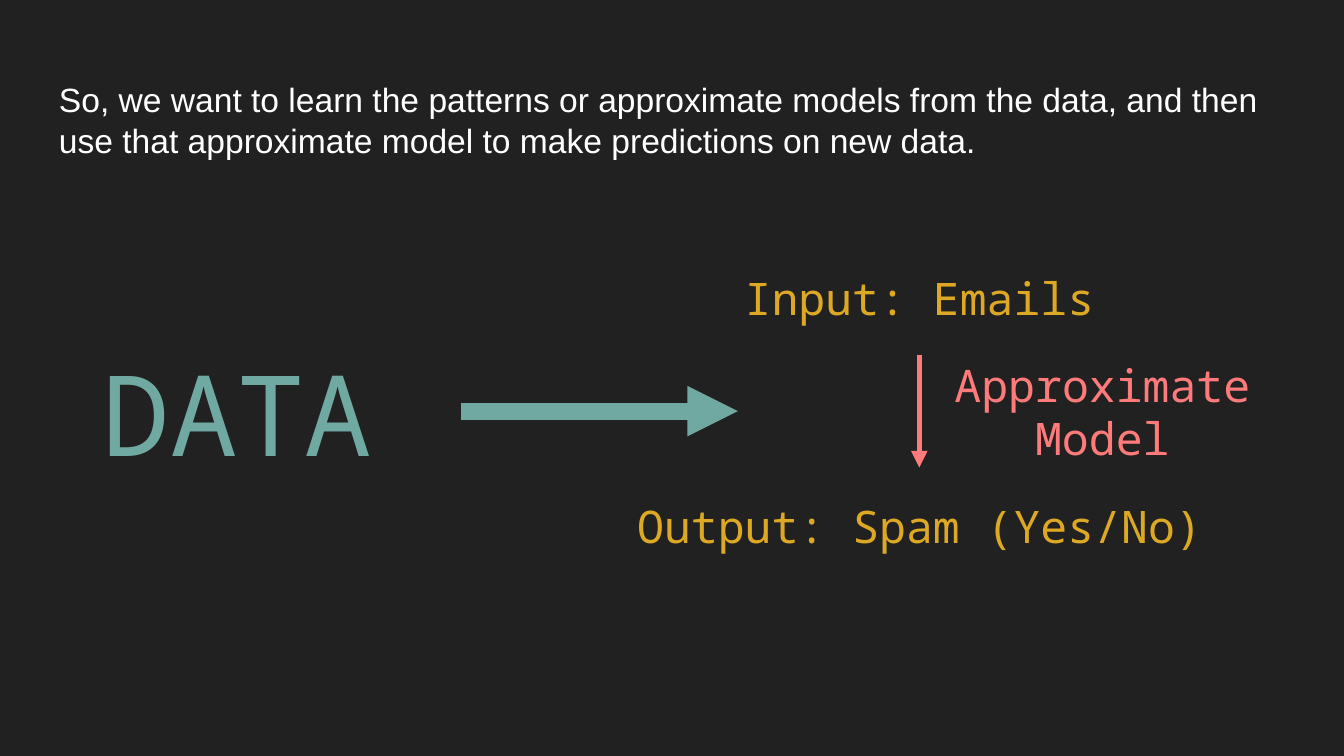
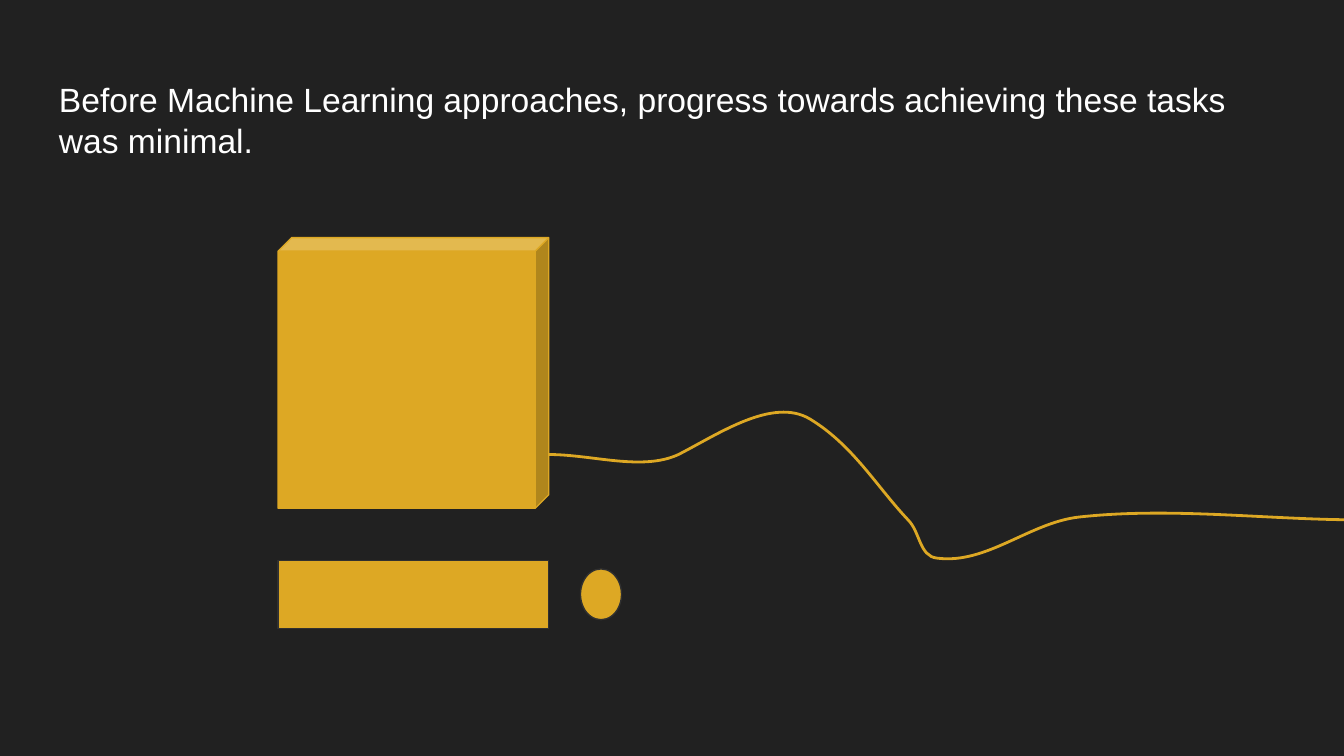
from lxml import etree
from pptx import Presentation
from pptx.dml.color import RGBColor
from pptx.enum.shapes import MSO_CONNECTOR, MSO_SHAPE
from pptx.enum.text import MSO_ANCHOR, PP_ALIGN
from pptx.oxml.ns import qn
from pptx.util import Pt

STRAIGHT = MSO_CONNECTOR.STRAIGHT
CUBE, RECTANGLE, OVAL = MSO_SHAPE.CUBE, MSO_SHAPE.RECTANGLE, MSO_SHAPE.OVAL
TOP, MIDDLE = MSO_ANCHOR.TOP, MSO_ANCHOR.MIDDLE
LEFT, CENTER = PP_ALIGN.LEFT, PP_ALIGN.CENTER

DARK = RGBColor(0x21, 0x21, 0x21)
OUTLINE = RGBColor(0x30, 0x30, 0x30)
WHITE = RGBColor(0xFF, 0xFF, 0xFF)
GOLD = RGBColor(0xDD, 0xA8, 0x24)
CORAL = RGBColor(0xFF, 0x7A, 0x7A)
TEAL = RGBColor(0x70, 0xA9, 0xA1)

TITLE_FONT = "Arial"
LABEL_FONT = "Noto Sans Mono"
INSET = 7.2

CABLE_START = (294, 243.5)
CABLE_CURVES = [
    [(317.5, 243.5), (344, 252.5), (363.5, 243.5)],
    [(385, 232.5), (414, 212.5), (434, 224.5)],
    [(457, 238.5), (469.5, 260.5), (486.5, 278.5)],
    [(493, 285), (492.5, 298), (502, 299)],
    [(528.5, 302.5), (551.5, 280), (578, 277)],
    [(628, 271.5), (679, 278.5), (728.5, 278.5)],
]


class SlideBuilder:
    """Holds the shared dark style and draws on the current slide."""

    def __init__(self):
        self.deck = Presentation()
        self.deck.slide_width, self.deck.slide_height = Pt(720), Pt(405)
        self.page = None

    def add_page(self, title):
        self.page = self.deck.slides.add_slide(self.deck.slide_layouts[6])
        fill = self.page.background.fill
        fill.solid()
        fill.fore_color.rgb = DARK
        self.text(title, (24.5, 35.3, 671, 45.4), WHITE, 18, TITLE_FONT, LEFT, TOP)

    def text(self, words, place, color, size=24, font=LABEL_FONT, align=CENTER, anchor=MIDDLE):
        box = self.page.shapes.add_textbox(*map(Pt, place))
        frame = box.text_frame
        frame.word_wrap = True
        frame.vertical_anchor = anchor
        frame.margin_left = frame.margin_right = Pt(INSET)
        frame.margin_top = frame.margin_bottom = Pt(INSET)
        frame.text = words
        para = frame.paragraphs[0]
        para.alignment = align
        span = para.runs[0]
        span.font.name = font
        span.font.size = Pt(size)
        span.font.color.rgb = color

    def arrow(self, start, end, color, width):
        line = self.page.shapes.add_connector(STRAIGHT, *map(Pt, start + end))
        line.line.color.rgb = color
        line.line.width = Pt(width)
        properties = line.element.spPr
        etree.SubElement(properties.find(qn("a:ln")), qn("a:tailEnd"), type="triangle")
        etree.SubElement(properties, qn("a:effectLst"))

    def shape(self, kind, place, outline):
        shape = self.page.shapes.add_shape(kind, *map(Pt, place))
        shape.shadow.inherit = False
        shape.fill.solid()
        shape.fill.fore_color.rgb = GOLD
        shape.line.color.rgb = outline
        shape.line.width = Pt(0.75)
        return shape

    def curve(self, start, curves, color, width):
        builder = self.page.shapes.build_freeform(*map(Pt, start))
        points = [tuple(map(Pt, point)) for curve in curves for point in curve]
        builder.add_line_segments(points, close=False)
        shape = builder.convert_to_shape()
        shape.shadow.inherit = False
        shape.fill.background()
        shape.line.color.rgb = color
        shape.line.width = Pt(width)
        segments = list(shape.element.iter(qn("a:lnTo")))
        for first in range(0, len(segments), 3):
            bend, *rest = segments[first:first + 3]
            bezier = etree.SubElement(bend.getparent(), qn("a:cubicBezTo"))
            for segment in [bend, *rest]:
                bezier.append(segment[0])
                segment.getparent().remove(segment)


def build_prediction(slides):
    slides.add_page(
        "So, we want to learn the patterns or approximate models from the data, "
        "and then use that approximate model to make predictions on new data."
    )
    for words, top in [("Input: Emails", 106), ("Output: Spam (Yes/No)", 228.2)]:
        slides.text(words, (307.5, top, 370, 106.5), GOLD)
    slides.text("Approximate Model", (486, 190, 209, 60.5), CORAL)
    slides.arrow((492.5, 190), (492.5, 250.5), CORAL, 3)
    slides.text("DATA", (25.2, 186.5, 203.8, 67.7), TEAL, 60)
    slides.arrow((247, 220.3), (395.3, 220.3), TEAL, 9)


def build_computer(slides):
    slides.add_page(
        "Before Machine Learning approaches, progress towards achieving these tasks was minimal."
    )
    monitor = slides.shape(CUBE, (149, 127.3, 145, 145), GOLD)
    monitor.adjustments[0] = 0.05
    slides.curve(CABLE_START, CABLE_CURVES, GOLD, 1.5)
    slides.shape(RECTANGLE, (149, 300.3, 145, 36.5), OUTLINE)
    slides.shape(OVAL, (311, 304.8, 22, 27.2), OUTLINE)


def main():
    slides = SlideBuilder()
    build_prediction(slides)
    build_computer(slides)
    slides.deck.save("out.pptx")


if __name__ == "__main__":
    main()
